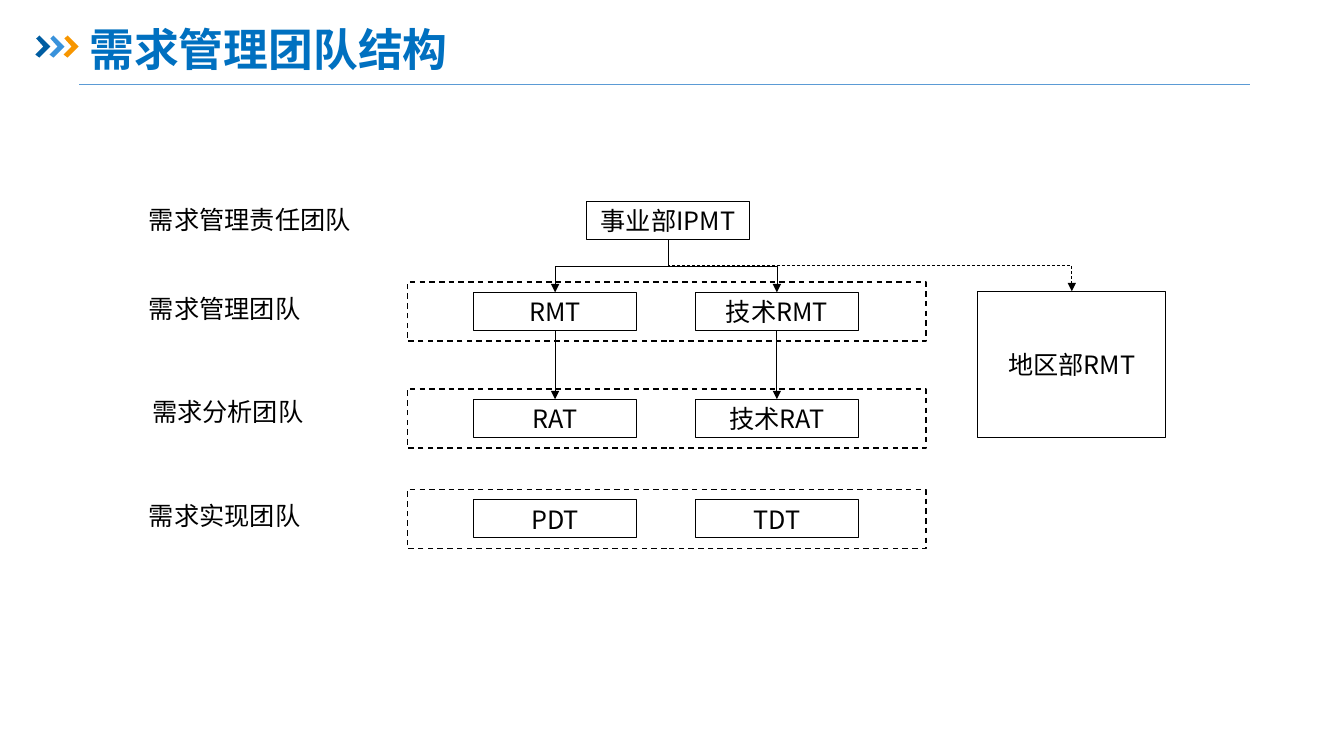
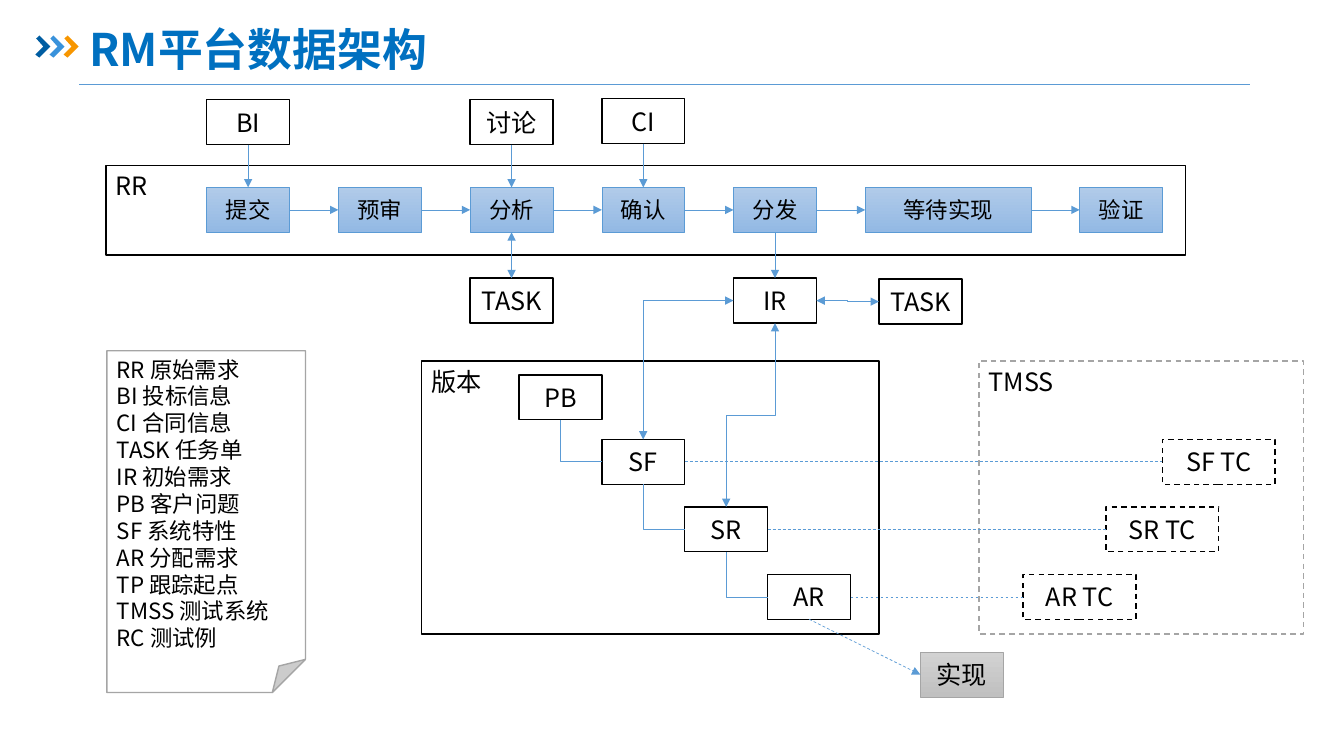
from dataclasses import dataclass

from lxml import etree
from pptx import Presentation
from pptx import util as u
from pptx.dml.color import RGBColor
from pptx.enum import dml, shapes, text
from pptx.oxml.ns import qn


@dataclass(frozen=True)
class Theme:
    font: str = "Noto Sans CJK SC"
    title_size: int = 32
    body_size: int = 18
    small_size: int = 16
    leading: float = 1.2
    ink: str = "000000"
    paper: str = "FFFFFF"
    title: str = "0070C0"
    accent: str = "5B9BD5"
    grey: str = "A5A5A5"
    chevrons: tuple = ("005DA2", "3992DB", "F79600")
    blue_blend: tuple = ("B1CBE9", "93B9E4")
    grey_blend: tuple = ("D2D2D2", "C0C0C0")


THEME = Theme()
prs = Presentation()
prs.slide_width, prs.slide_height = u.Inches(13.33), u.Inches(7.5)

# The grid has 100 columns and 100 rows; every length below counts them
COL, ROW = prs.slide_width / 100, prs.slide_height / 100
SITES = {"top": (0, 0.5, 0), "left": (1, 0, 0.5), "bottom": (2, 0.5, 1), "right": (3, 1, 0.5)}


def box(slide, left, top, width, height, words="", size=THEME.body_size, color=THEME.ink,
        bold=False, fill=THEME.paper, line=THEME.ink, weight=1, dash=False,
        align="CENTER", anchor="MIDDLE", preset="RECTANGLE"):
    """Add a box with text; fill is a colour, a pair of colours to blend, or None."""
    shape = slide.shapes.add_shape(
        shapes.MSO_SHAPE[preset], int(left * COL), int(top * ROW), int(width * COL), int(height * ROW))
    shape.shadow.inherit = False
    if fill is None:
        shape.fill.background()
    elif isinstance(fill, tuple):
        shape.fill.gradient()
        shape.fill.gradient_angle = 270
        for stop, shade in zip(shape.fill.gradient_stops, fill):
            stop.color.rgb = RGBColor.from_string(shade)
    else:
        shape.fill.solid()
        shape.fill.fore_color.rgb = RGBColor.from_string(fill)
    if line is None:
        shape.line.fill.background()
    else:
        shape.line.color.rgb = RGBColor.from_string(line)
        shape.line.width = u.Pt(weight)
        if dash:
            shape.line.dash_style = dml.MSO_LINE.DASH
    frame = shape.text_frame
    frame.word_wrap = True
    frame.vertical_anchor = text.MSO_ANCHOR[anchor]
    frame.text = words
    for paragraph in frame.paragraphs:
        paragraph.alignment = text.PP_ALIGN[align]
        paragraph.line_spacing = u.Pt(size * THEME.leading)
        for run in paragraph.runs:
            run.font.size, run.font.bold = u.Pt(size), bold
            run.font.color.rgb = RGBColor.from_string(color)
            run.font.name = THEME.font
            etree.SubElement(run.font._element, qn("a:ea"), typeface=THEME.font)
    return shape


def link(slide, start, start_side, end, end_side, color=THEME.accent, dash=False,
         head=False, tail=True, bend=""):
    """Join two boxes by their sides; bend names an elbow preset, else the line is straight."""
    (site1, fx1, fy1), (site2, fx2, fy2) = SITES[start_side], SITES[end_side]
    x1, y1 = int(start.left + fx1 * start.width), int(start.top + fy1 * start.height)
    x2, y2 = int(end.left + fx2 * end.width), int(end.top + fy2 * end.height)
    route = shapes.MSO_CONNECTOR.ELBOW if bend else shapes.MSO_CONNECTOR.STRAIGHT
    wire = slide.shapes.add_connector(route, x1, y1, x2, y2)
    wire.begin_connect(start, site1)
    wire.end_connect(end, site2)
    props = wire._element.spPr
    if bend:
        props.find(qn("a:prstGeom")).set("prst", bend)
    if bend and start_side == "bottom":
        # An elbow that sets off downwards is a sideways one, turned by a quarter
        run_x, run_y = abs(x2 - x1), y2 - y1
        wire.left, wire.top = (x1 + x2 - run_y) // 2, (y1 + y2 - run_x) // 2
        wire.width, wire.height = run_y, run_x
        turn = props.find(qn("a:xfrm"))
        turn.set("flipH", "1" if x2 > x1 else "0")
        turn.set("flipV", "0")
        turn.set("rot", str((270 if x2 > x1 else 90) * 60000))
    wire.line.color.rgb = RGBColor.from_string(color)
    wire.line.width = u.Pt(0.5)
    if dash:
        wire.line.dash_style = dml.MSO_LINE.DASH
    outline = props.find(qn("a:ln"))
    for tag, shown in (("a:headEnd", head), ("a:tailEnd", tail)):
        if shown:
            etree.SubElement(outline, qn(tag), type="triangle")
    etree.SubElement(props, qn("a:effectLst"))


# Shared header: rule, three chevrons, title
CHEVRON = [(0.07, 0.4), (0.3, 0), (1.12, 1.47), (0.3, 2.93), (0, 2.53), (0.6, 1.47)]
pages = []
for heading in ("需求管理团队结构", "RM平台数据架构"):
    page = prs.slides.add_slide(prs.slide_layouts[6])
    rule = page.shapes.add_connector(
        shapes.MSO_CONNECTOR.STRAIGHT, int(5.9 * COL), int(11.2 * ROW), int(93 * COL), int(11.2 * ROW))
    rule.line.color.rgb = RGBColor.from_string(THEME.accent)
    rule.line.width = u.Pt(0.5)
    etree.SubElement(rule._element.spPr, qn("a:effectLst"))
    for place, shade in enumerate(THEME.chevrons):
        corners = [(int((2.63 + 1.05 * place + x) * COL), int((4.7 + y) * ROW)) for x, y in CHEVRON]
        outline = page.shapes.build_freeform(*corners[0])
        outline.add_line_segments(corners[1:], close=True)
        chevron = outline.convert_to_shape()
        chevron.shadow.inherit = False
        chevron.fill.solid()
        chevron.fill.fore_color.rgb = RGBColor.from_string(shade)
        chevron.line.fill.background()
    box(page, 5.9, 2.5, 86.3, 7.9, heading, size=THEME.title_size, color=THEME.title,
        bold=True, fill=None, line=None, align="LEFT")
    pages.append(page)
team_page, data_page = pages

# Team structure: one dashed band per level, two teams in each
TEAM_W, TEAM_H = 12.1, 5.04
TEAM_COLS = (35.25, 51.75)
levels = [(38.67, ("RMT", "技术RMT")), (52.8, ("RAT", "技术RAT")), (66.13, ("PDT", "TDT"))]
for top, names in levels:
    box(team_page, 30.3, top - 1.35, 38.6, 7.8, dash=True)
teams = [
    [box(team_page, left, top, TEAM_W, TEAM_H, name, weight=0.75) for left, name in zip(TEAM_COLS, names)]
    for top, names in levels]
region = box(team_page, 72.75, 38.53, 14, 19.4, "地区部RMT", weight=0.75)
division = box(team_page, 43.65, 26.67, TEAM_W, TEAM_H, "事业部IPMT", weight=0.75)

# Level names
for left, top, name in [(10.35, 26.4, "需求管理责任团队"), (10.35, 38.13, "需求管理团队"),
                        (10.58, 51.73, "需求分析团队"), (10.35, 65.47, "需求实现团队")]:
    box(team_page, left, top, 16.6, 5.33, name, fill=None, line=None, align="LEFT")

# Lines of command
for team in (*teams[0], region):
    link(team_page, division, "bottom", team, "top", THEME.ink, dash=team is region, bend="bentConnector3")
for manager, analyst in zip(teams[0], teams[1]):
    link(team_page, manager, "bottom", analyst, "top", THEME.ink)

# Data architecture: three framed areas
for left, top, width, height, name, edge in [
        (72.83, 47.73, 24.15, 36.13, "TMSS", THEME.grey),
        (31.35, 47.73, 34.05, 36.13, "版本", THEME.ink),
        (7.88, 21.87, 80.33, 11.87, "RR", THEME.ink)]:
    box(data_page, left, top, width, height, name, fill=None, line=edge,
        dash=edge == THEME.grey, align="LEFT", anchor="TOP")

# Flow of a raw requirement
CELL_W, CELL_H = 6.17, 5.93
FLOW_LEFT, FLOW_PITCH = 15.38, 9.8
flow = []
for place, name in enumerate(("提交", "预审", "分析", "确认", "分发", "等待实现", "验证")):
    wide = name == "等待实现"
    left = 80.33 if name == "验证" else FLOW_LEFT + place * FLOW_PITCH
    flow.append(box(data_page, left, 24.8, CELL_W * (2 if wide else 1), CELL_H, name,
                    size=THEME.small_size, fill=THEME.blue_blend, line=THEME.accent, weight=0.5))
for step, following in zip(flow, flow[1:]):
    link(data_page, step, "right", following, "left")

# Inputs above the flow
for place, top, name in [(0, 13.2, "BI"), (2, 13.2, "讨论"), (3, 13.07, "CI")]:
    source = box(data_page, FLOW_LEFT + place * FLOW_PITCH, top, CELL_W, CELL_H, name)
    link(data_page, source, "bottom", flow[place], "top")

# Tasks and the initial requirement below the flow
analysis_task = box(data_page, FLOW_LEFT + 2 * FLOW_PITCH, 36.8, CELL_W, CELL_H, "TASK")
initial = box(data_page, FLOW_LEFT + 4 * FLOW_PITCH, 36.8, CELL_W, CELL_H, "IR")
initial_task = box(data_page, 65.4, 36.93, CELL_W, CELL_H, "TASK")
link(data_page, flow[2], "bottom", analysis_task, "top", head=True)
link(data_page, flow[4], "bottom", initial, "top")
link(data_page, initial, "right", initial_task, "left", head=True, bend="bentConnector3")

# Staircase of requirements within a version
problem = box(data_page, 38.63, 49.6, CELL_W, CELL_H, "PB")
feature, system, allocated = stairs = [
    box(data_page, 44.78 + place * CELL_W, 58.13 + place * 8.93, CELL_W, CELL_H, name)
    for place, name in enumerate(("SF", "SR", "AR"))]
for upper, lower in zip([problem, *stairs], stairs):
    link(data_page, upper, "bottom", lower, "left", tail=False, bend="bentConnector2")
link(data_page, initial, "left", feature, "top", head=True, bend="bentConnector2")
link(data_page, initial, "bottom", system, "top", head=True, bend="bentConnector3")

# Test cases and delivery
for place, (left, name) in enumerate([(86.48, "SF TC"), (82.28, "SR TC"), (76.13, "AR TC")]):
    case = box(data_page, left, 58.13 + place * 8.93, 8.4, CELL_H, name, dash=True)
    link(data_page, stairs[place], "right", case, "left", dash=True, tail=False)
delivery = box(data_page, 68.48, 86.27, CELL_W, CELL_H, "实现",
               fill=THEME.grey_blend, line=THEME.grey, weight=0.5)
link(data_page, allocated, "bottom", delivery, "left", dash=True)

# Legend of abbreviations, with an en space after each term
terms = ["RR 原始需求", "BI 投标信息", "CI 合同信息", "TASK 任务单", "IR 初始需求", "PB 客户问题",
         "SF 系统特性", "AR 分配需求", "TP 跟踪起点", "TMSS 测试系统", "RC 测试例"]
box(data_page, 7.95, 46.4, 14.78, 45.2, "\n".join(terms), size=THEME.small_size,
    line=THEME.grey, align="LEFT", anchor="TOP", preset="FOLDED_CORNER")

prs.save("out.pptx")
